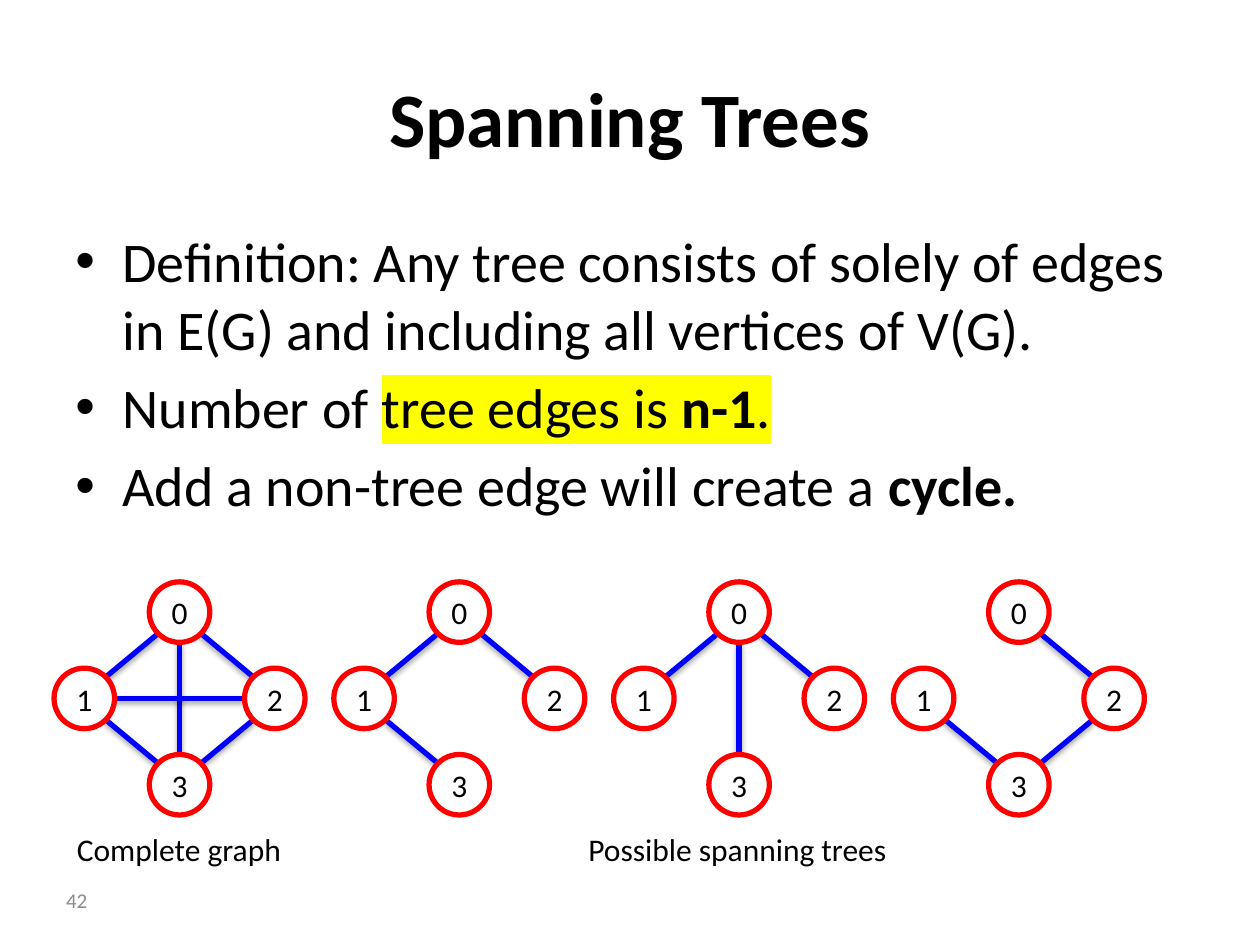
"""Build a slide that explains spanning trees with four small graphs."""
from math import hypot

from lxml import etree
from pptx import Presentation
from pptx.dml.color import RGBColor
from pptx.enum.shapes import MSO_CONNECTOR, MSO_SHAPE
from pptx.enum.text import MSO_ANCHOR, PP_ALIGN
from pptx.oxml import parse_xml
from pptx.oxml.ns import nsdecls, qn
from pptx.util import Cm, Pt

BLACK = RGBColor(0, 0, 0)
WHITE = RGBColor(255, 255, 255)
RED = RGBColor(255, 0, 0)
BLUE = RGBColor(0, 0, 255)
GRAY = RGBColor(0x8C, 0x8C, 0x8C)
LEFT, CENTER, RIGHT = PP_ALIGN.LEFT, PP_ALIGN.CENTER, PP_ALIGN.RIGHT
TOP, MIDDLE = MSO_ANCHOR.TOP, MSO_ANCHOR.MIDDLE
STRAIGHT, OVAL = MSO_CONNECTOR.STRAIGHT, MSO_SHAPE.OVAL

SHADOW = (
    f'<a:effectLst {nsdecls("a")}><a:outerShdw blurRad="40000" dist="23000" '
    'dir="5400000" rotWithShape="0"><a:srgbClr val="000000">'
    '<a:alpha val="35000"/></a:srgbClr></a:outerShdw></a:effectLst>'
)
HIGHLIGHT = f'<a:highlight {nsdecls("a")}><a:srgbClr val="FFFF00"/></a:highlight>'


def format_run(run, size, color=BLACK, bold=False):
    run.font.size = Pt(size)
    run.font.bold = bold
    run.font.color.rgb = color
    run.font.name = "Calibri"


def add_text(text, left, top, width, height, size, align=LEFT, anchor=TOP,
             color=BLACK, bold=False, wrap=True):
    box = slide.shapes.add_textbox(Cm(left), Cm(top), Cm(width), Cm(height))
    frame = box.text_frame
    frame.word_wrap = wrap
    frame.vertical_anchor = anchor
    frame.text = text
    paragraph = frame.paragraphs[0]
    paragraph.alignment = align
    for run in paragraph.runs:
        format_run(run, size, color, bold)
    return frame


presentation = Presentation()
presentation.slide_width = Cm(25.4)
presentation.slide_height = Cm(19.05)
slide = presentation.slides.add_slide(presentation.slide_layouts[6])

add_text("Spanning Trees", 1.27, 0.76, 22.86, 3.18, 44, CENTER, MIDDLE, bold=True)

# Each run: text, bold, highlighted
bullets = [
    [("Definition: Any tree consists of solely of edges in E(G) "
      "and including all vertices of V(G).", False, False)],
    [("Number of ", False, False), ("tree edges is ", False, True),
     ("n-1", True, True), (".", False, True)],
    [("Add a non-tree edge will create a ", False, False), ("cycle.", True, False)],
]
body = add_text("", 1.27, 4.45, 22.86, 12.57, 32)
for index, parts in enumerate(bullets):
    paragraph = body.add_paragraph() if index else body.paragraphs[0]
    paragraph.space_before = Pt(6.4)
    properties = paragraph._p.get_or_add_pPr()
    properties.set("marL", str(Cm(0.95)))
    properties.set("indent", str(-Cm(0.95)))
    etree.SubElement(properties, qn("a:buFont")).set("typeface", "Arial")
    etree.SubElement(properties, qn("a:buChar")).set("char", "•")
    for text, bold, highlighted in parts:
        run = paragraph.add_run()
        run.text = text
        format_run(run, 32, bold=bold)
        if highlighted:
            latin = run._r.rPr.find(qn("a:latin"))
            latin.addprevious(parse_xml(HIGHLIGHT))

RADIUS = 0.61
HALF_WIDTH, HALF_HEIGHT = 1.92, 1.74
FIRST_X, CENTER_Y, GRAPH_STEP = 3.62, 14.08, 5.64
node_directions = {0: (0, -1), 1: (-1, 0), 3: (0, 1), 2: (1, 0)}
graphs = [
    [(0, 1), (3, 1), (0, 2), (2, 3), (0, 3), (2, 1)],
    [(0, 1), (3, 1), (0, 2)],
    [(0, 1), (0, 2), (0, 3)],
    [(3, 1), (0, 2), (2, 3)],
]
for column, edges in enumerate(graphs):
    group = slide.shapes.add_group_shape()
    center_x = FIRST_X + column * GRAPH_STEP
    centers = {
        node: (center_x + x * HALF_WIDTH, CENTER_Y + y * HALF_HEIGHT)
        for node, (x, y) in node_directions.items()
    }
    for start, end in edges:
        (x1, y1), (x2, y2) = centers[start], centers[end]
        step_x = (x2 > x1) - (x2 < x1)
        step_y = (y2 > y1) - (y2 < y1)
        reach = RADIUS / hypot(step_x, step_y)
        dx, dy = step_x * reach, step_y * reach
        edge = group.shapes.add_connector(
            STRAIGHT, Cm(x1 + dx), Cm(y1 + dy), Cm(x2 - dx), Cm(y2 - dy))
        edge.line.color.rgb = BLUE
        edge.line.width = Pt(3)
        edge._element.spPr.append(parse_xml(SHADOW))
    for node, (x, y) in centers.items():
        circle = group.shapes.add_shape(
            OVAL, Cm(x - RADIUS), Cm(y - RADIUS), Cm(2 * RADIUS), Cm(2 * RADIUS))
        circle.shadow.inherit = False
        circle.fill.solid()
        circle.fill.fore_color.rgb = WHITE
        circle.line.color.rgb = RED
        circle.line.width = Pt(3)
        frame = circle.text_frame
        frame.margin_left = frame.margin_right = 0
        frame.margin_top = frame.margin_bottom = 0
        frame.vertical_anchor = MIDDLE
        frame.text = str(node)
        frame.paragraphs[0].alignment = CENTER
        format_run(frame.paragraphs[0].runs[0], 18)

add_text("Complete graph", 1.3, 16.61, 4.67, 1.02, 18, wrap=False)
add_text("Possible spanning trees", 11.61, 16.61, 6.6, 1.02, 18, wrap=False)
add_text("42", 0, 17.63, 2.01, 1.02, 12, RIGHT, MIDDLE, GRAY)

presentation.save("out.pptx")
